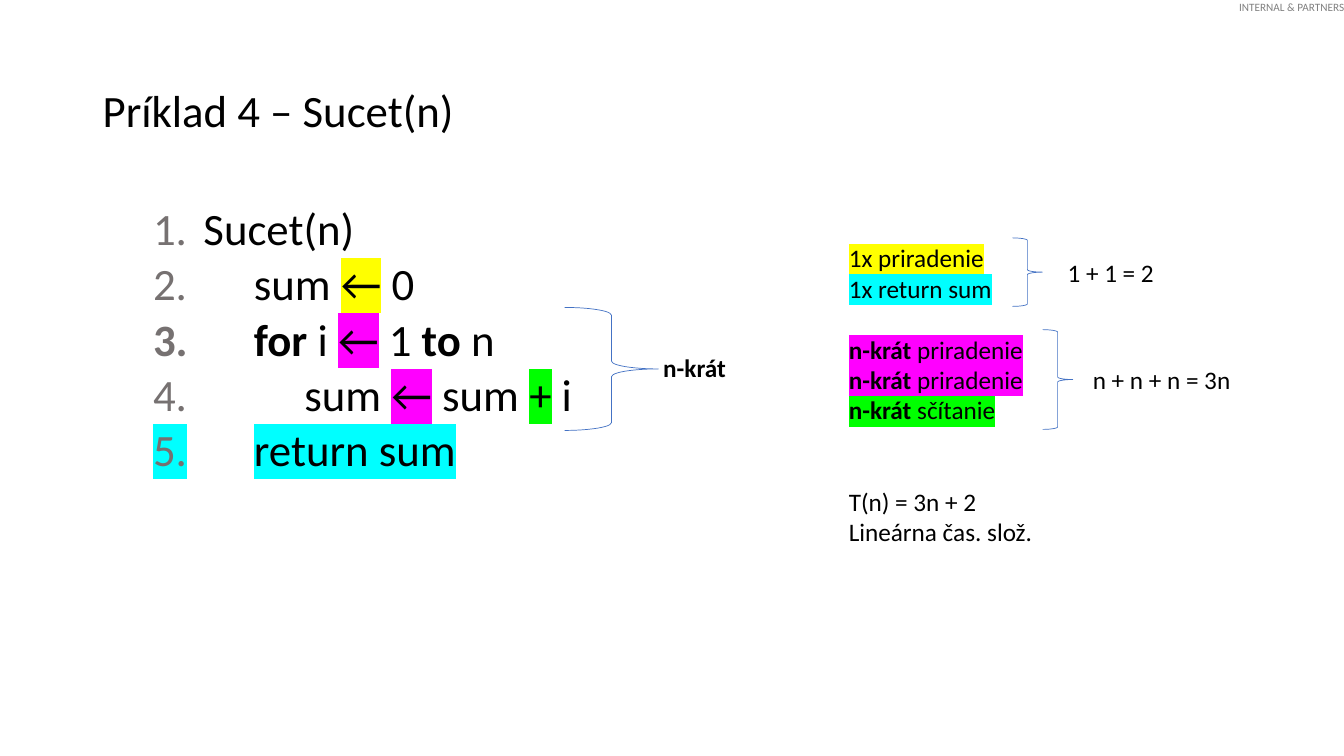
import pptx
import pptx.util
import pptx.dml.color
import pptx.enum.shapes
import pptx.enum.text
import pptx.oxml
import pptx.oxml.ns
from dataclasses import dataclass

Inches = pptx.util.Inches
Pt = pptx.util.Pt
RGB = pptx.dml.color.RGBColor.from_string
NAMESPACE = pptx.oxml.ns.nsdecls("a")


@dataclass(frozen=True)
class Theme:
    font: str = "Calibri"
    text: str = "000000"
    label: str = "808080"
    number: str = "767171"
    brace: str = "4472C4"
    yellow: str = "FFFF00"
    magenta: str = "FF00FF"
    green: str = "00FF00"
    cyan: str = "00FFFF"
    heading_size: int = 32
    note_size: int = 18
    label_size: int = 8


theme = Theme()
presentation = pptx.Presentation()
presentation.slide_width = Inches(13.33)
presentation.slide_height = Inches(7.5)
slide = presentation.slides.add_slide(presentation.slide_layouts[6])


def add_text_box(position, lines, size, color=theme.text, paragraph_format=None, **frame_format):
    """Add one paragraph per line; a line is a list of (text, bold, highlight) runs."""
    frame = slide.shapes.add_textbox(*map(Inches, position)).text_frame
    for name, value in {"word_wrap": True, **frame_format}.items():
        setattr(frame, name, value)
    for index, runs in enumerate(lines):
        paragraph = frame.add_paragraph() if index else frame.paragraphs[0]
        for name, value in (paragraph_format or {}).items():
            setattr(paragraph, name, value)
        for text, bold, highlight in runs:
            run = paragraph.add_run()
            run.text = text
            run.font.size = Pt(size)
            run.font.bold = bold
            run.font.color.rgb = RGB(color)
            if highlight:
                run.font.fill._xPr.append(pptx.oxml.parse_xml(
                    f'<a:highlight {NAMESPACE}><a:srgbClr val="{highlight}"/></a:highlight>'))
            run.font.name = theme.font
    return frame


def plain(text, highlight=None):
    return (text, False, highlight)


def strong(text, highlight=None):
    return (text, True, highlight)


# Classification label and title
no_margins = dict.fromkeys(("margin_left", "margin_top", "margin_right", "margin_bottom"), 0)
add_text_box((12.29, 0, 1.07, 0.13), [[plain("INTERNAL & PARTNERS")]],
             theme.label_size, theme.label, word_wrap=False, **no_margins)
add_text_box((0.92, 0.4, 11.5, 1.45), [[plain("Príklad 4 – Sucet(n)")]], theme.heading_size,
             paragraph_format={"line_spacing": 0.9},
             vertical_anchor=pptx.enum.text.MSO_ANCHOR.MIDDLE)

# Numbered pseudocode: each nesting depth moves the text, not the number
code = [
    (0, [plain("Sucet(n)")]),
    (1, [plain("sum "), plain("←", theme.yellow), plain(" 0")]),
    (1, [strong("for "), plain("i "), plain("←", theme.magenta), plain(" 1 "),
         strong("to"), plain(" n")]),
    (2, [plain("sum "), plain("←", theme.magenta), plain(" sum "),
         plain("+", theme.green), plain(" i")]),
    (1, [plain("return sum", theme.cyan)]),
]
code_frame = add_text_box((0.92, 2, 11.5, 5.37), [runs for depth, runs in code],
                          theme.heading_size,
                          paragraph_format={"line_spacing": 0.9, "space_before": Pt(5)})
for paragraph, (depth, runs) in zip(code_frame.paragraphs, code):
    properties = paragraph._p.get_or_add_pPr()
    properties.set("marL", str(Inches(1 + 0.5 * depth)))
    properties.set("indent", str(Inches(-0.5 - 0.5 * depth)))
    for xml in (f'<a:buClr {NAMESPACE}><a:srgbClr val="{theme.number}"/></a:buClr>',
                f'<a:buFont {NAMESPACE} typeface="+mj-lt"/>',
                f'<a:buAutoNum {NAMESPACE} type="arabicPeriod"/>'):
        properties.append(pptx.oxml.parse_xml(xml))

# Operation counts, in three groups set apart by whole line heights
counts = [
    (0, [plain("1x priradenie\t", theme.yellow)]),
    (0, [plain("1x return sum", theme.cyan)]),
    (1, [strong("n-krát", theme.magenta), plain(" priradenie", theme.magenta)]),
    (0, [strong("n-krát", theme.magenta), plain(" priradenie", theme.magenta)]),
    (0, [strong("n-krát", theme.green), plain(" sčítanie", theme.green)]),
    (2, [plain("T(n) = 3n + 2")]),
    (0, [plain("Lineárna čas. slož.")]),
]
counts_frame = add_text_box((8.32, 2.36, 4.59, 3.13), [runs for gap, runs in counts],
                            theme.note_size)
for paragraph, (gap, runs) in zip(counts_frame.paragraphs, counts):
    if gap:
        paragraph.space_before = Pt(22 * gap)
counts_frame.paragraphs[0]._p.get_or_add_pPr().append(pptx.oxml.parse_xml(
    f'<a:tabLst {NAMESPACE}><a:tab pos="{Inches(2.13)}" algn="l"/></a:tabLst>'))

# Braces and their results
for position in ((5.6, 3.05, 0.93, 1.22), (10.04, 2.36, 0.3, 0.68), (10.34, 3.27, 0.3, 0.99)):
    brace = slide.shapes.add_shape(pptx.enum.shapes.MSO_SHAPE.RIGHT_BRACE, *map(Inches, position))
    brace.shadow.inherit = False
    brace.fill.background()
    brace.line.color.rgb = RGB(theme.brace)
    brace.line.width = Pt(0.5)

for position, run, wrap in (
    ((6.48, 3.45, 0.83, 0.4), strong("n-krát"), False),
    ((10.74, 3.57, 2.09, 0.4), plain("n + n + n = 3n"), True),
    ((10.49, 2.5, 1.45, 0.4), plain("1 + 1 = 2"), True),
):
    add_text_box(position, [[run]], theme.note_size, word_wrap=wrap)

presentation.save("out.pptx")
